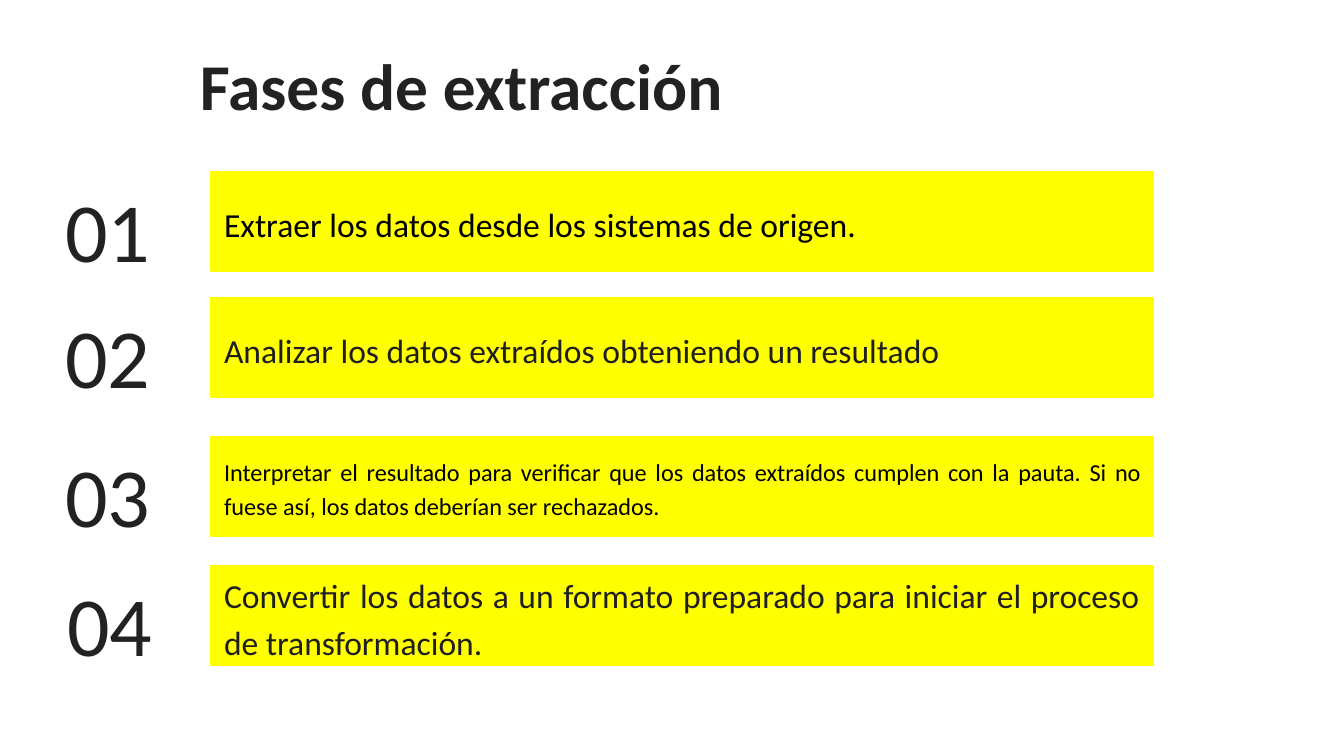
from dataclasses import dataclass

from pptx import Presentation
from pptx.dml.color import RGBColor
from pptx.enum.shapes import MSO_SHAPE as Preset
from pptx.enum.text import MSO_ANCHOR as Anchor, PP_ALIGN as Align
from pptx.shapes.autoshape import Shape
from pptx.slide import Slide
from pptx.util import Emu, Pt

EMU_PER_PX = 914400 / 134.4
FONT = "Calibri"
DARK = "222222"
YELLOW = "FFFF01"
INSET = 13
BAR_LEFT, BAR_WIDTH = 211, 942
NUMBER_WIDTH = 156
ROW_HEIGHT = 99


@dataclass(frozen=True)
class Phase:
    top: int
    number_left: int
    text: str
    size: int
    color: str


PHASES = [
    Phase(172, 30, "Extraer los datos desde los sistemas de origen.", 18, "000000"),
    Phase(298, 30, "Analizar los datos extraídos obteniendo un resultado", 18, "1F1F1F"),
    Phase(437, 30, "Interpretar el resultado para verificar que los datos extraídos "
          "cumplen con la pauta. Si no fuese así, los datos deberían ser rechazados.",
          13, "000000"),
    Phase(566, 32, "Convertir los datos a un formato preparado para iniciar "
          "el proceso de transformación.", 18, "1F1F1F"),
]


def px(length: int) -> Emu:
    return Emu(round(length * EMU_PER_PX))


def rgb(color: str) -> RGBColor:
    return RGBColor.from_string(color)


def write(shape: Shape, text: str, size: int, color: str, align: Align,
          spacing: float = 1.0, bold: bool = False) -> None:
    frame = shape.text_frame
    frame.word_wrap = True
    frame.vertical_anchor = Anchor.MIDDLE
    frame.margin_left = frame.margin_right = px(INSET)
    frame.margin_top = frame.margin_bottom = px(INSET)
    paragraph = frame.paragraphs[0]
    paragraph.alignment = align
    paragraph.line_spacing = spacing
    run = paragraph.add_run()
    run.text = text
    run.font.name = FONT
    run.font.size = Pt(size)
    run.font.bold = bold
    run.font.color.rgb = rgb(color)


def add_text_box(slide: Slide, left: int, top: int, width: int, height: int) -> Shape:
    return slide.shapes.add_textbox(px(left), px(top), px(width), px(height))


def add_phase(slide: Slide, number: int, phase: Phase) -> None:
    bar = slide.shapes.add_shape(Preset.RECTANGLE, px(BAR_LEFT), px(phase.top),
                                 px(BAR_WIDTH), px(ROW_HEIGHT))
    bar.shadow.inherit = False
    bar.fill.solid()
    bar.fill.fore_color.rgb = rgb(YELLOW)
    bar.line.color.rgb = rgb(YELLOW)
    bar.line.width = Pt(1.5)
    write(bar, phase.text, phase.size, phase.color, Align.JUSTIFY, 1.15)

    label = add_text_box(slide, phase.number_left, phase.top, NUMBER_WIDTH, ROW_HEIGHT)
    write(label, f"{number:02d}", 45, DARK, Align.CENTER, 1.15)


def main() -> None:
    presentation = Presentation()
    presentation.slide_width = px(1344)
    presentation.slide_height = px(756)
    slide = presentation.slides.add_slide(presentation.slide_layouts[6])

    title = add_text_box(slide, 187, 22, 1024, 125)
    write(title, "Fases de extracción", 35, DARK, Align.LEFT, bold=True)
    for number, phase in enumerate(PHASES, start=1):
        add_phase(slide, number, phase)

    presentation.save("out.pptx")


if __name__ == "__main__":
    main()
